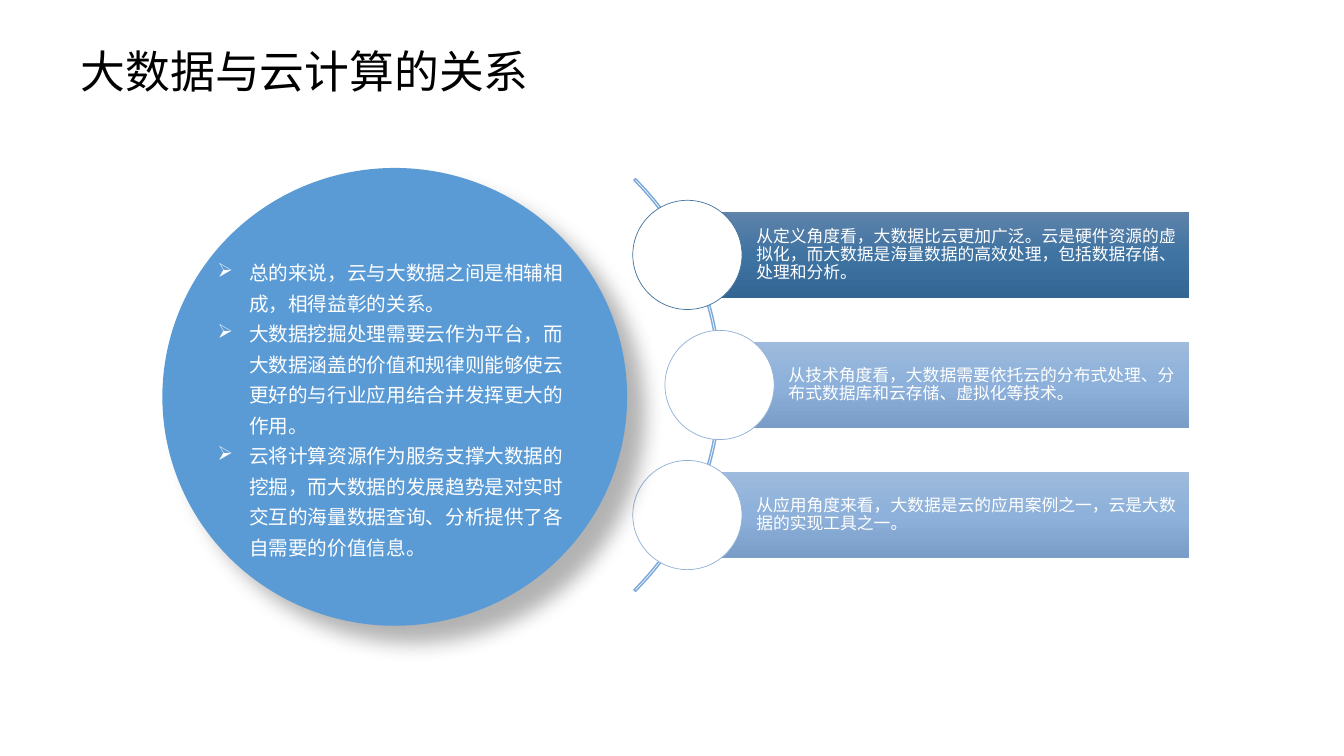
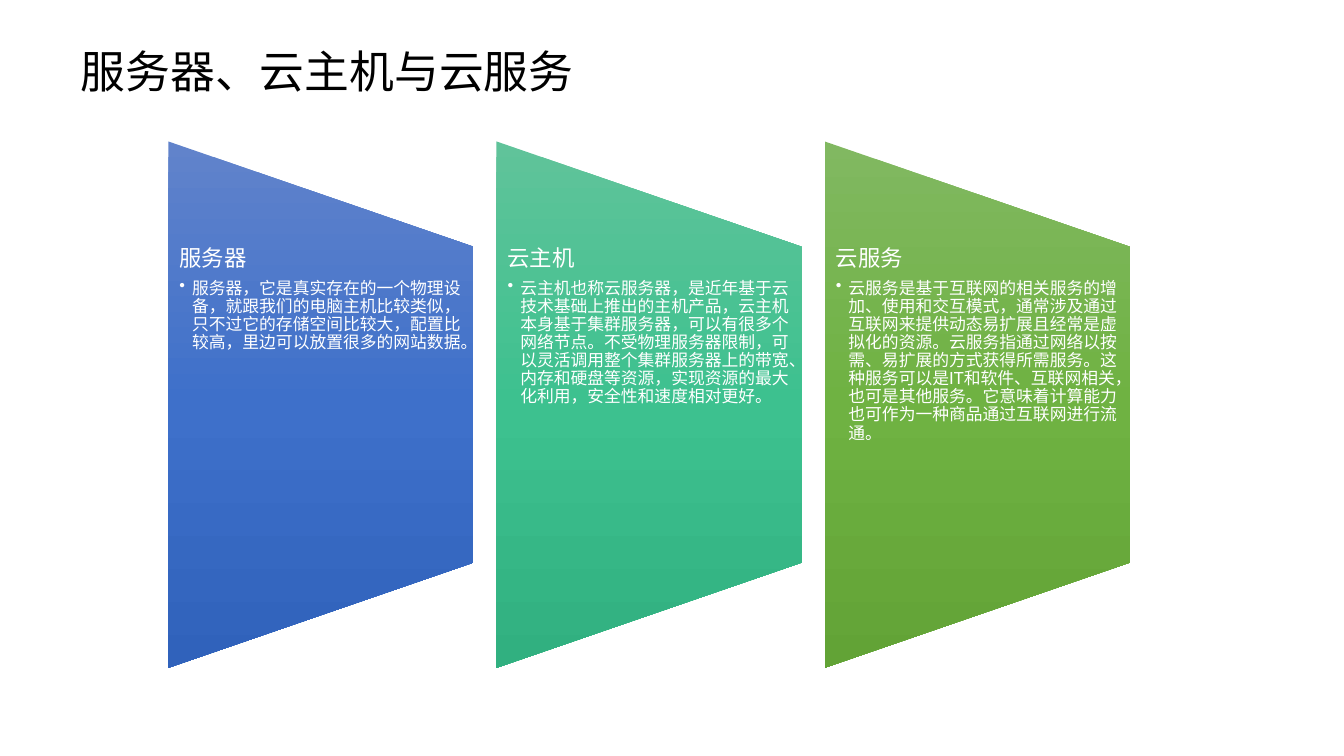
from pptx import Presentation
from pptx.dml.color import RGBColor
from pptx.enum.shapes import MSO_SHAPE as Shape
from pptx.enum.text import MSO_ANCHOR as Anchor, PP_ALIGN as Align
from pptx.oxml import parse_xml
from pptx.oxml.ns import nsdecls, qn
from pptx.util import Pt

FONT = "Lato"
BLACK = RGBColor(0x00, 0x00, 0x00)
WHITE = RGBColor(0xFF, 0xFF, 0xFF)
DISC_BLUE = RGBColor(0x5B, 0x9B, 0xD5)
ARC_BLUE = RGBColor(0x7A, 0xA9, 0xDA)
DARK_RING = RGBColor(0x43, 0x73, 0x9E)
LIGHT_RING = RGBColor(0x91, 0xB1, 0xD6)

# Gradient stops, from top through middle to bottom
DARK_BLUE = [RGBColor(0x5F, 0x83, 0xAA), RGBColor(0x3F, 0x73, 0xA2), RGBColor(0x34, 0x66, 0x94)]
LIGHT_BLUE = [RGBColor(0x9E, 0xBA, 0xDC), RGBColor(0x8D, 0xB1, 0xDA), RGBColor(0x79, 0x9D, 0xC6)]
ROYAL_BLUE = [RGBColor(0x61, 0x83, 0xCB), RGBColor(0x3E, 0x70, 0xCA), RGBColor(0x30, 0x62, 0xBB)]
TEAL = [RGBColor(0x60, 0xC3, 0x9A), RGBColor(0x3D, 0xC1, 0x8F), RGBColor(0x31, 0xB0, 0x80)]
GREEN = [RGBColor(0x81, 0xB8, 0x61), RGBColor(0x6F, 0xB2, 0x42), RGBColor(0x62, 0xA3, 0x36)]

TITLES = ["大数据与云计算的关系", "服务器、云主机与云服务"]
SUMMARY = [
    "总的来说，云与大数据之间是相辅相成，相得益彰的关系。",
    "大数据挖掘处理需要云作为平台，而大数据涵盖的价值和规律则能够使云更好的与行业应用结合并发挥更大的作用。",
    "云将计算资源作为服务支撑大数据的挖掘，而大数据的发展趋势是对实时交互的海量数据查询、分析提供了各自需要的价值信息。",
]
# Bar left edge, gradient, ring colour, text
VIEWPOINTS = [
    (491, DARK_BLUE, DARK_RING,
     "从定义角度看，大数据比云更加广泛。云是硬件资源的虚拟化，而大数据是海量数据的高效处理，包括数据存储、处理和分析。"),
    (514, LIGHT_BLUE, LIGHT_RING,
     "从技术角度看，大数据需要依托云的分布式处理、分布式数据库和云存储、虚拟化等技术。"),
    (491, LIGHT_BLUE, LIGHT_RING,
     "从应用角度来看，大数据是云的应用案例之一，云是大数据的实现工具之一。"),
]
SERVICES = [
    (ROYAL_BLUE, "服务器",
     "服务器，它是真实存在的一个物理设备，就跟我们的电脑主机比较类似，只不过它的存储空间比较大，配置比较高，里边可以放置很多的网站数据。"),
    (TEAL, "云主机",
     "云主机也称云服务器，是近年基于云技术基础上推出的主机产品，云主机本身基于集群服务器，可以有很多个网络节点。"
     "不受物理服务器限制，可以灵活调用整个集群服务器上的带宽、内存和硬盘等资源，实现资源的最大化利用，安全性和速度相对更好。"),
    (GREEN, "云服务",
     "云服务是基于互联网的相关服务的增加、使用和交互模式，通常涉及通过互联网来提供动态易扩展且经常是虚拟化的资源。"
     "云服务指通过网络以按需、易扩展的方式获得所需服务。这种服务可以是IT和软件、互联网相关，也可是其他服务。"
     "它意味着计算能力也可作为一种商品通过互联网进行流通。"),
]


def add_figure(page, kind, left, top, width, height, fill=None, line=None, weight=1):
    """Add a shape; a list of three colours as fill makes a top-down gradient."""
    figure = page.shapes.add_shape(kind, Pt(left), Pt(top), Pt(width), Pt(height))
    figure.shadow.inherit = False
    if isinstance(fill, list):
        figure.fill.gradient()
        gradient = figure._element.spPr.find(qn("a:gradFill"))
        stops = "".join(
            f'<a:gs pos="{place * 50000}"><a:srgbClr val="{color}"/></a:gs>'
            for place, color in enumerate(fill))
        gradient.getparent().replace(gradient, parse_xml(
            f'<a:gradFill {nsdecls("a")} rotWithShape="0"><a:gsLst>{stops}</a:gsLst>'
            '<a:lin ang="5400000" scaled="0"/></a:gradFill>'))
    elif fill is None:
        figure.fill.background()
    else:
        figure.fill.solid()
        figure.fill.fore_color.rgb = fill
    if line is None:
        figure.line.fill.background()
    else:
        figure.line.color.rgb = line
        figure.line.width = Pt(weight)
    return figure


def write(box, texts, sizes, color=WHITE, spacing=0.9, insets=(0, 0, 0, 0), after=0, bullets=None):
    """Fill a box with paragraphs; bullets holds (sign, indent) or None for each."""
    frame = box.text_frame
    frame.word_wrap = True
    frame.margin_left, frame.margin_top, frame.margin_right, frame.margin_bottom = map(Pt, insets)
    for number, text in enumerate(texts):
        para = frame.add_paragraph() if number else frame.paragraphs[0]
        para.text = text
        para.alignment = Align.LEFT
        para.line_spacing = spacing
        para.space_after = Pt(after)
        if bullets and bullets[number]:
            sign, indent = bullets[number]
            props = para._p.get_or_add_pPr()
            props.set("marL", str(Pt(indent)))
            props.set("indent", str(-Pt(indent)))
            props.append(parse_xml(f'<a:buChar {nsdecls("a")} char="{sign}"/>'))
        para.font.name = FONT
        para.font.size = Pt(sizes[number])
        para.font.color.rgb = color


deck = Presentation()
deck.slide_width, deck.slide_height = Pt(960), Pt(540)

# Pages and titles
pages = []
for title in TITLES:
    page = deck.slides.add_slide(deck.slide_layouts[6])
    box = page.shapes.add_textbox(Pt(57.6), Pt(35.3), Pt(844.6), Pt(39))
    write(box, [title], [32], color=BLACK)
    pages.append(page)
relation_page, services_page = pages

# Arc behind the viewpoints
arc = add_figure(relation_page, Shape.BLOCK_ARC, 98, 66.5, 417, 417, line=ARC_BLUE)
for index, value in enumerate((189, 27, 0.004)):
    arc.adjustments[index] = value

# Viewpoint bars, each with a ring centred on its left edge
BAR_RIGHT, BAR_HEIGHT, RING = 849.6, 62, 78
for row, (left, gradient, ring_color, text) in enumerate(VIEWPOINTS):
    middle = 275 + (row - 1) * 92.9
    bar = add_figure(relation_page, Shape.RECTANGLE, left, middle - BAR_HEIGHT / 2,
                     BAR_RIGHT - left, BAR_HEIGHT, gradient)
    bar.text_frame.vertical_anchor = Anchor.MIDDLE
    write(bar, [text], [12], insets=(49.2, 2.4, 2.4, 2.4))
    add_figure(relation_page, Shape.OVAL, left - RING / 2, middle - RING / 2,
               RING, RING, WHITE, ring_color, 0.5)

# Summary disc with a soft shadow
disc = add_figure(relation_page, Shape.OVAL, 116, 120, 332, 327, DISC_BLUE)
disc._element.spPr.find(qn("a:effectLst")).append(parse_xml(
    f'<a:outerShdw {nsdecls("a")} blurRad="{Pt(15)}" dist="{Pt(18)}" dir="2700000" '
    'algn="tl" rotWithShape="0"><a:srgbClr val="000000"><a:alpha val="30000"/>'
    '</a:srgbClr></a:outerShdw>'))
box = relation_page.shapes.add_textbox(Pt(148.3), Pt(177.8), Pt(267.8), Pt(227.5))
write(box, SUMMARY, [14] * 3, spacing=1.3, insets=(7.2, 3.6, 7.2, 3.6), bullets=[("➢", 22.5)] * 3)

# Service panels: trapezoids turned on their side, with upright text
LENGTH, WIDTH = 376, 218
for column, (gradient, heading, text) in enumerate(SERVICES):
    left = 120.2 + column * 234.4
    panel = add_figure(services_page, Shape.FLOWCHART_MANUAL_OPERATION,
                       left + (WIDTH - LENGTH) / 2, 289 - WIDTH / 2, LENGTH, WIDTH, gradient)
    panel.rotation = 270
    box = services_page.shapes.add_textbox(Pt(left), Pt(176.4), Pt(WIDTH), Pt(225.4))
    write(box, [heading, text], [16, 12], insets=(8, 0, 8, 0), after=6, bullets=[None, ("•", 9)])

deck.save("out.pptx")
